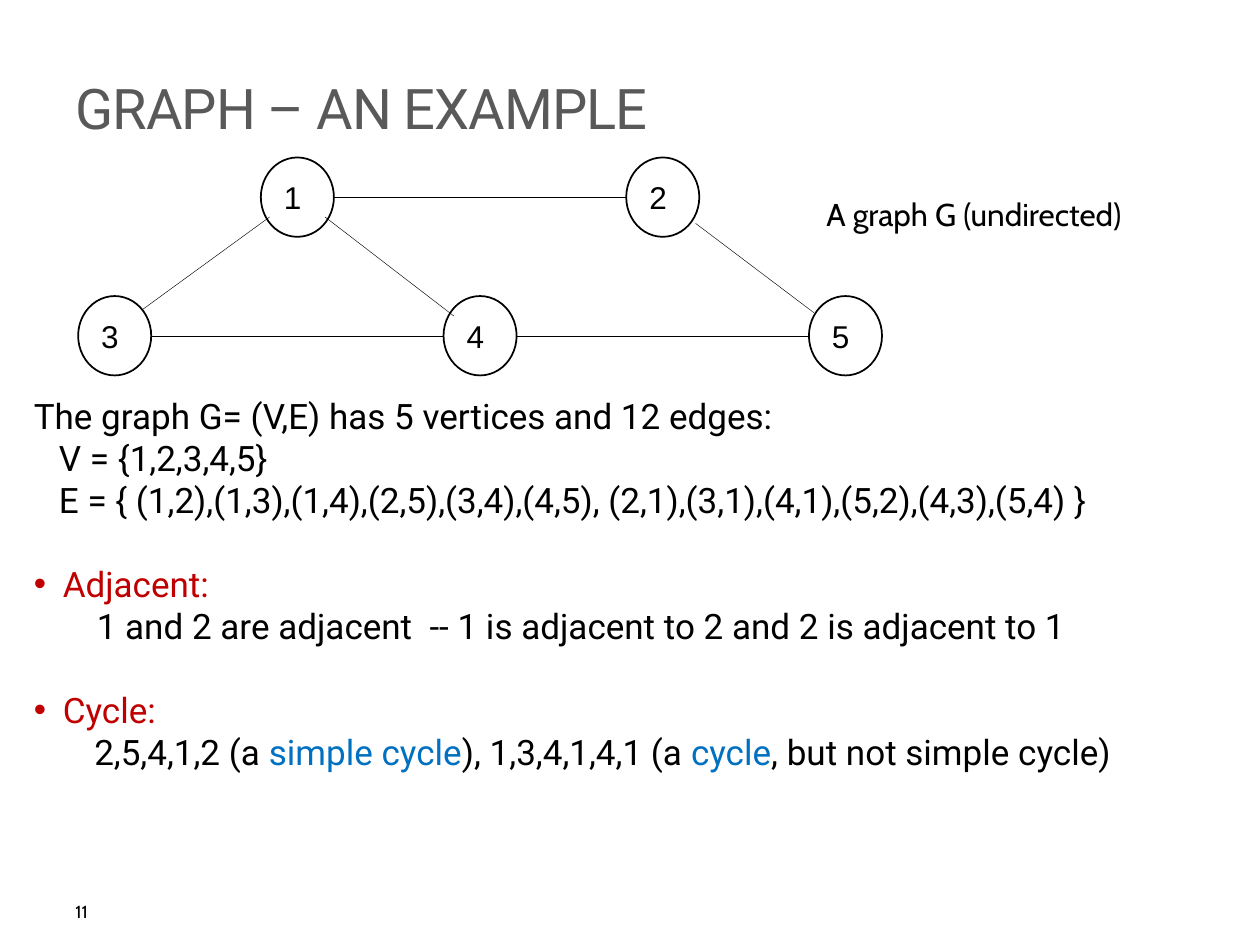
from lxml import etree
from pptx import Presentation
from pptx.dml.color import RGBColor
from pptx.enum import shapes, text
from pptx.oxml import ns
from pptx.util import Inches, Pt

BLACK = RGBColor(0, 0, 0)
GREY = RGBColor(0x59, 0x59, 0x59)
RED = RGBColor(0xC0, 0, 0)
BLUE = RGBColor(0, 0x70, 0xC0)

TITLE = "GRAPH – AN EXAMPLE"
NODES = {"1": (1, 0), "2": (3, 0), "3": (0, 1), "4": (2, 1), "5": (4, 1)}
RIGHT, LEFT = (1, 0.5), (0, 0.5)
EDGES = [
    ("1", (0.88, 0.75), "4", (0.14, 0.25)),
    ("1", RIGHT, "2", LEFT),
    ("2", (0.95, 0.83), "5", (0.07, 0.21)),
    ("4", LEFT, "3", RIGHT),
    ("5", LEFT, "4", RIGHT),
    ("1", (0.12, 0.75), "3", (0.88, 0.17)),
]
LABELS = [
    ("11", (0.5, 7.1, 3.75, 0.31), 10, True),
    ("A graph G (undirected)", (6.46, 1.5, 2.74, 0.4), 18, False),
]
BODY = [
    (0, False, [("The graph G= (V,E) has 5 vertices and 12 edges:", BLACK)]),
    (0.2, False, [("V = {1,2,3,4,5}", BLACK)]),
    (0.2, False, [("E = { (1,2),(1,3),(1,4),(2,5),(3,4),(4,5), "
                   "(2,1),(3,1),(4,1),(5,2),(4,3),(5,4) }", BLACK)]),
    (0.23, True, [("Adjacent:", RED)]),
    (0.5, False, [("1 and 2 are adjacent  -- 1 is adjacent to 2 "
                   "and 2 is adjacent to 1", BLACK)]),
    (0.23, True, [("Cycle:", RED)]),
    (0.48, False, [("2,5,4,1,2 (a ", BLACK), ("simple cycle", BLUE),
                   ("), 1,3,4,1,4,1 (a ", BLACK), ("cycle", BLUE),
                   (", but not simple cycle)", BLACK)]),
]
X0, Y0, DX, DY = 0.62, 1.25, 1.45, 1.1
W, H = 0.58, 0.63


def style(font, name, size, color=BLACK):
    font.name, font.size = name, Pt(size)
    font.color.rgb = color


def box(slide, place, wrap):
    frame = slide.shapes.add_textbox(*map(Inches, place)).text_frame
    frame.word_wrap = wrap
    return frame


def spot(name, part=(0, 0)):
    col, row = NODES[name]
    return (Inches(X0 + col * DX + part[0] * W),
            Inches(Y0 + row * DY + part[1] * H))


def add_title(slide):
    title = slide.shapes.title
    title.left, title.top, title.width, title.height = map(
        Inches, (0.5, -0.33, 8.33, 1.5))
    frame = title.text_frame
    frame.text = TITLE
    frame.auto_size = text.MSO_AUTO_SIZE.NONE
    frame.vertical_anchor = text.MSO_ANCHOR.BOTTOM
    para = frame.paragraphs[0]
    para.alignment = text.PP_ALIGN.LEFT
    style(para.font, "Roboto", 32, GREY)
    para.runs[0].font._element.set("spc", "-60")


def add_edge(slide, start, exit, end, entry):
    line = slide.shapes.add_connector(
        shapes.MSO_CONNECTOR.STRAIGHT, *spot(start, exit), *spot(end, entry))
    line.line.color.rgb = BLACK
    line.line.width = Pt(0.25)
    etree.SubElement(line._element.spPr, ns.qn("a:effectLst"))


def add_node(slide, name):
    node = slide.shapes.add_shape(
        shapes.MSO_SHAPE.OVAL, *spot(name), Inches(W), Inches(H))
    node.shadow.inherit = False
    node.fill.background()
    node.line.color.rgb = BLACK
    node.line.width = Pt(1)
    frame = node.text_frame
    frame.text = name
    frame.word_wrap = False
    frame.vertical_anchor = text.MSO_ANCHOR.MIDDLE
    para = frame.paragraphs[0]
    para.alignment = text.PP_ALIGN.LEFT
    style(para.font, "Arial", 18)


def add_body(slide):
    frame = box(slide, (0.17, 3.08, 9.67, 3.13), True)
    for i, (indent, bullet, runs) in enumerate(BODY):
        para = frame.add_paragraph() if i else frame.paragraphs[0]
        props = para._p.get_or_add_pPr()
        props.set("marL", str(Inches(indent)))
        props.set("indent", str(-Inches(indent) if bullet else 0))
        if bullet:
            para.space_before = Pt(24)
            color = etree.SubElement(props, ns.qn("a:buClr"))
            etree.SubElement(color, ns.qn("a:srgbClr"), val=str(RED))
            etree.SubElement(props, ns.qn("a:buFont"), typeface="Arial")
            etree.SubElement(props, ns.qn("a:buChar"), char="•")
        para.font.name, para.font.size = "Roboto", Pt(20)
        for words, color in runs:
            run = para.add_run()
            run.text = words
            run.font.color.rgb = color


def main():
    deck = Presentation()
    deck.slide_width, deck.slide_height = Inches(10), Inches(7.5)
    slide = deck.slides.add_slide(deck.slide_layouts[5])
    add_title(slide)
    for edge in EDGES:
        add_edge(slide, *edge)
    for name in NODES:
        add_node(slide, name)
    for words, place, size, wrap in LABELS:
        frame = box(slide, place, wrap)
        frame.text = words
        style(frame.paragraphs[0].font, "Cabin", size)
    add_body(slide)
    deck.save("out.pptx")


if __name__ == "__main__":
    main()
